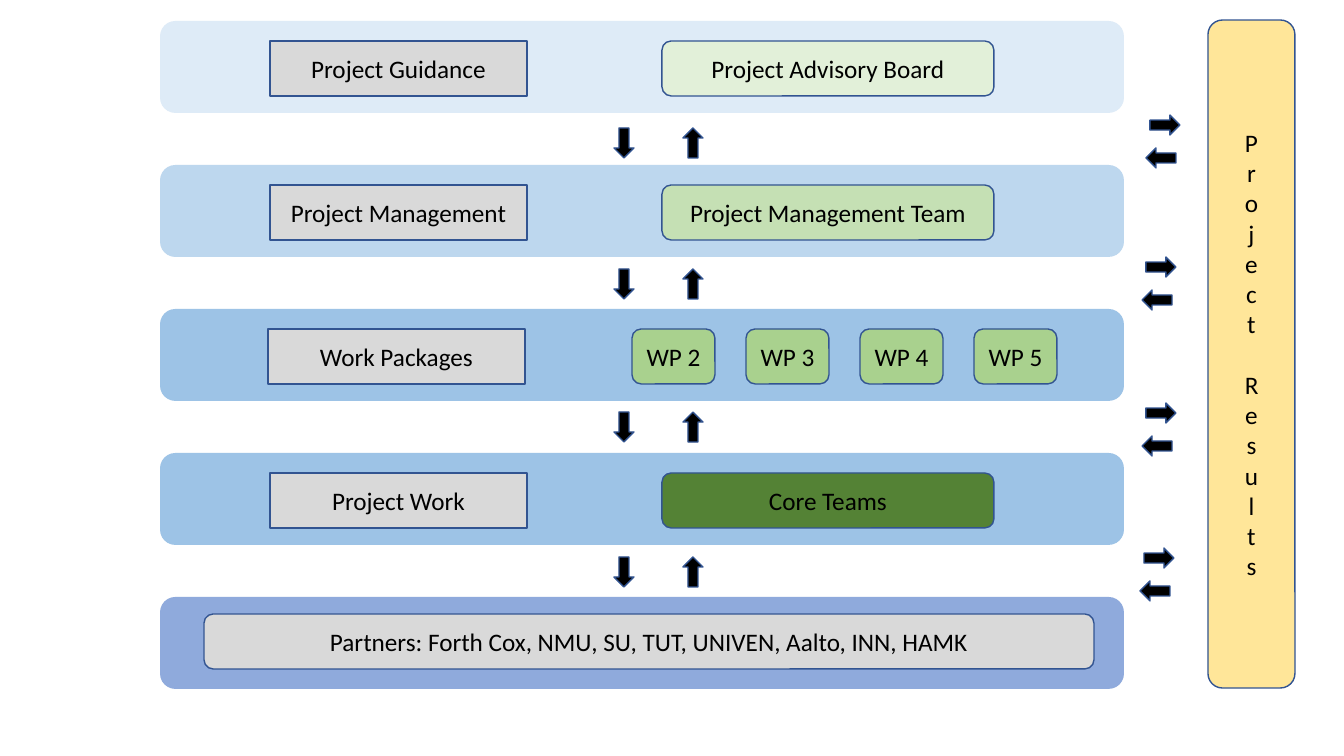
"""Build the project organisation slide: five layered bands, arrows and a results column."""
from dataclasses import dataclass

from pptx import Presentation
from pptx.dml.color import RGBColor
from pptx.enum.shapes import MSO_SHAPE
from pptx.enum.text import MSO_ANCHOR, PP_ALIGN
from pptx.util import Emu, Pt

RECT, ROUND, ARROW = MSO_SHAPE.RECTANGLE, MSO_SHAPE.ROUNDED_RECTANGLE, MSO_SHAPE.DOWN_ARROW
MIDDLE, CENTER = MSO_ANCHOR.MIDDLE, PP_ALIGN.CENTER


@dataclass(frozen=True)
class Theme:
    font: str = "Calibri"
    size: int = 18
    line_width: int = 1
    text: str = "000000"
    outline: str = "325491"
    arrow: str = "000000"
    label: str = "D9D9D9"
    results: str = "FFE699"
    bands: tuple = ("DEEBF7", "BDD7EE", "9DC3E6", "9DC3E6", "8FAADC")
    teams: tuple = ("E2F0D9", "C5E0B4", "A9D18E", "548235")


THEME = Theme()
LEVELS = [
    ("Project Guidance", 270, ["Project Advisory Board"]),
    ("Project Management", 270, ["Project Management Team"]),
    ("Work Packages", 268, ["WP 2", "WP 3", "WP 4", "WP 5"]),
    ("Project Work", 270, ["Core Teams"]),
]
PARTNERS = "Partners: Forth Cox, NMU, SU, TUT, UNIVEN, Aalto, INN, HAMK"
RESULTS = "Project Results"

PX = 914400 / 100.8
SLIDE_W, SLIDE_H = 1344, 756
BAND_X, BAND_Y, BAND_W, BAND_H, BAND_PITCH = 160, 21, 964, 92, 144
BOX_DY, BOX_H, LABEL_W = 20, 55, 257
TEAM_X, TEAM_W = 662, 332
WP_X, WP_W, WP_PITCH = 632, 83, 114
ARROW_W, ARROW_H = 20, 30
LEVEL_ARROW_X = {614: 0, 683: 180}
LEVEL_ARROW_Y = [128, 269, 412, 557]
RESULT_ARROWS = [(1155, 110), (1151, 252), (1151, 398), (1149, 543)]
RETURN_DX, RETURN_DY = -4, 33


def px(n):
    return Emu(round(n * PX))


def add_box(shapes, kind, x, y, w, h, fill, outlined=True):
    sp = shapes.add_shape(kind, px(x), px(y), px(w), px(h))
    sp.shadow.inherit = False
    sp.fill.solid()
    sp.fill.fore_color.rgb = RGBColor.from_string(fill)
    if outlined:
        sp.line.color.rgb = RGBColor.from_string(THEME.outline)
        sp.line.width = Pt(THEME.line_width)
    else:
        sp.line.fill.background()
    return sp


def add_text(sp, text):
    tf = sp.text_frame
    tf.word_wrap = True
    tf.vertical_anchor = MIDDLE
    p = tf.paragraphs[0]
    p.alignment = CENTER
    r = p.add_run()
    r.text = text
    r.font.name = THEME.font
    r.font.size = Pt(THEME.size)
    r.font.color.rgb = RGBColor.from_string(THEME.text)
    return tf


def add_arrow(shapes, x, y, rotation):
    sp = add_box(shapes, ARROW, x, y, ARROW_W, ARROW_H, THEME.arrow)
    sp.rotation = rotation


prs = Presentation()
prs.slide_width, prs.slide_height = px(SLIDE_W), px(SLIDE_H)
s = prs.slides.add_slide(prs.slide_layouts[6])
shapes = s.shapes

for i, color in enumerate(THEME.bands):
    add_box(shapes, ROUND, BAND_X, BAND_Y + i * BAND_PITCH, BAND_W, BAND_H, color, outlined=False)

for i, (label, label_x, teams) in enumerate(LEVELS):
    y = BAND_Y + i * BAND_PITCH + BOX_DY
    add_text(add_box(shapes, RECT, label_x, y, LABEL_W, BOX_H, THEME.label), label)
    x, w = (TEAM_X, TEAM_W) if len(teams) == 1 else (WP_X, WP_W)
    for j, team in enumerate(teams):
        sp = add_box(shapes, ROUND, x + j * WP_PITCH, y, w, BOX_H, THEME.teams[i])
        add_text(sp, team)

add_text(add_box(shapes, ROUND, 204, 614, 890, BOX_H, THEME.label), PARTNERS)

column = add_box(shapes, ROUND, 1208, 20, 87, 668, THEME.results)
tf = add_text(column, RESULTS)
tf._txBody.bodyPr.set("vert", "wordArtVert")

for y in LEVEL_ARROW_Y:
    for x, rotation in LEVEL_ARROW_X.items():
        add_arrow(shapes, x, y, rotation)

for x, y in RESULT_ARROWS:
    add_arrow(shapes, x, y, 270)
    add_arrow(shapes, x + RETURN_DX, y + RETURN_DY, 90)

prs.save("out.pptx")
